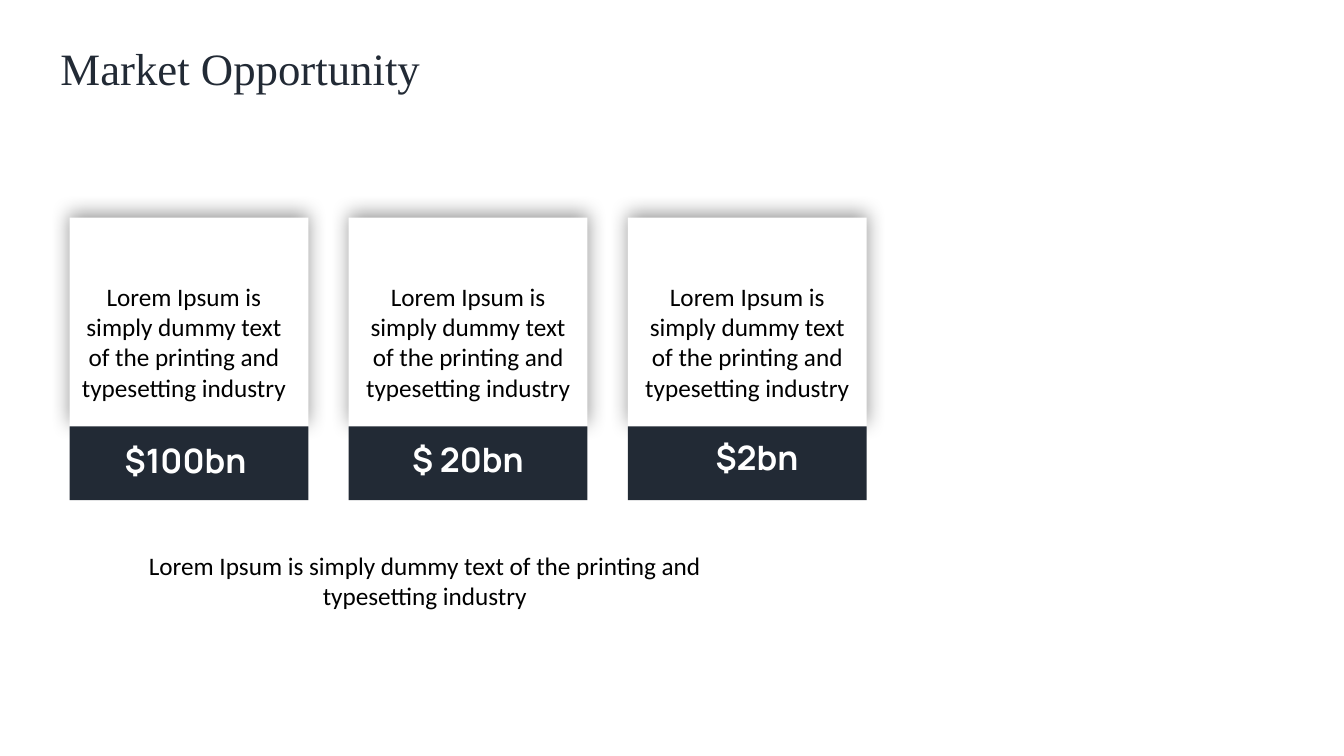
from lxml.etree import SubElement
from pptx import Presentation
from pptx.dml.color import RGBColor
from pptx.enum.shapes import MSO_SHAPE as Shape
from pptx.enum.text import MSO_ANCHOR as Anchor, MSO_AUTO_SIZE as AutoSize, PP_ALIGN as Align
from pptx.oxml.ns import qn
from pptx.util import Pt

# Content
TITLE = "Market Opportunity"
LOREM = "Lorem Ipsum is simply dummy text of the printing and typesetting industry"
# amount, then left, top and width of its label
MARKETS = [
    ("$100bn", (82, 311, 111)),
    ("$ 20bn", (287.3, 309.8, 105)),
    ("$2bn", (504, 308.6, 80.6)),
]

# Look
COLORS = {"navy": "222A35", "white": "FFFFFF", "black": "000000"}
TITLE_FORMAT = {"name": "Times New Roman", "size": Pt(32), "bold": False}
BODY_FORMAT = {"name": "Calibri", "size": Pt(18)}
AMOUNT_FORMAT = {"name": "Manrope", "size": Pt(24), "bold": True}

# Layout in points
CARD_LEFT, CARD_TOP, CARD_WIDTH, CARD_HEIGHT = 49.7, 155.5, 170.6, 149.8
CARD_PITCH = 199.4
BAR_TOP, BAR_HEIGHT = 304.6, 52.6
BODY_TOP, BODY_HEIGHT = 197.3, 94.3
AMOUNT_HEIGHT = 36


def rgb(color):
    return RGBColor.from_string(COLORS[color])


def write(shape, text, values, color, align):
    paragraph = shape.text_frame.paragraphs[0]
    paragraph.text = text
    paragraph.alignment = align
    for name, value in values.items():
        setattr(paragraph.font, name, value)
    paragraph.font.color.rgb = rgb(color)
    return paragraph


def add_text(box, text, values, color, align=Align.LEFT):
    shape = slide.shapes.add_textbox(*map(Pt, box))
    shape.text_frame.word_wrap = True
    shape.text_frame.auto_size = AutoSize.SHAPE_TO_FIT_TEXT
    write(shape, text, values, color, align)


def add_box(box, color):
    shape = slide.shapes.add_shape(Shape.RECTANGLE, *map(Pt, box))
    shape.shadow.inherit = False
    shape.fill.solid()
    shape.fill.fore_color.rgb = rgb(color)
    shape.line.fill.background()
    return shape


def add_upward_shadow(shape):
    effects = shape._element.spPr.find(qn("a:effectLst"))
    shadow = SubElement(effects, qn("a:outerShdw"), blurRad=str(Pt(14)), dist=str(Pt(3)),
                        dir=str(270 * 60000), algn="b", rotWithShape="0")
    color = SubElement(shadow, qn("a:srgbClr"), val=COLORS["black"])
    SubElement(color, qn("a:alpha"), val="40000")


presentation = Presentation()
presentation.slide_width, presentation.slide_height = Pt(960), Pt(540)
slide = presentation.slides.add_slide(presentation.slide_layouts[5])

# Title
title = slide.shapes.title
title.left, title.top, title.width, title.height = map(Pt, (36, 29.5, 486, 80))
title.text_frame.vertical_anchor = Anchor.TOP
title.text_frame.word_wrap = True
title.text_frame.auto_size = AutoSize.NONE
write(title, TITLE, TITLE_FORMAT, "navy", Align.LEFT).line_spacing = 0.9

# Cards and the bars below them
lefts = [CARD_LEFT + CARD_PITCH * index for index in range(len(MARKETS))]
for left in lefts:
    add_upward_shadow(add_box((left, CARD_TOP, CARD_WIDTH, CARD_HEIGHT), "white"))
for left in lefts:
    add_box((left, BAR_TOP, CARD_WIDTH, BAR_HEIGHT), "navy")

# Card texts: the first one is a little narrower
for index, left in enumerate(lefts):
    width = CARD_WIDTH if index else 163.4
    add_text((left, BODY_TOP, width, BODY_HEIGHT), LOREM, BODY_FORMAT, "black", Align.CENTER)

# Summary
add_text((62.6, 389.5, 481.7, 51), LOREM, BODY_FORMAT, "black", Align.CENTER)

# Amounts
for amount, (left, top, width) in MARKETS:
    add_text((left, top, width, AMOUNT_HEIGHT), amount, AMOUNT_FORMAT, "white")

presentation.save("out.pptx")
